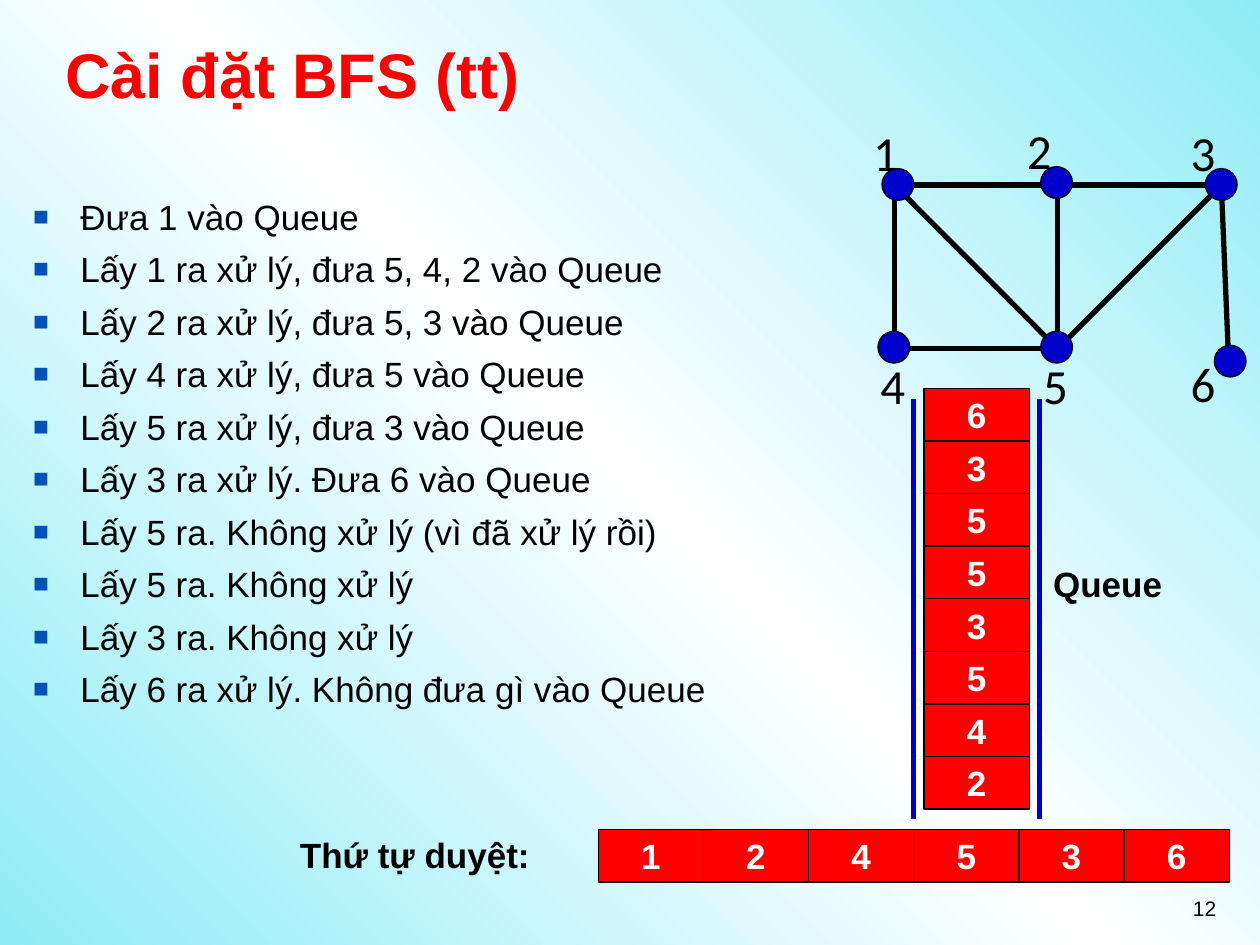
from copy import deepcopy
from dataclasses import dataclass

from pptx import Presentation
from pptx import util as u
from pptx.dml.color import RGBColor
from pptx.enum import shapes, text
from pptx.oxml import ns, xmlchemy


@dataclass(frozen=True)
class Theme:
    font: str = "Arial"
    digit: str = "Calibri"
    black: str = "000000"
    white: str = "FFFFFF"
    red: str = "FF0000"
    blue: str = "0000CC"
    mark: str = "0251B8"
    aqua: str = "8EECF6"
    head: int = 36
    label: int = 28
    body: int = 20
    small: int = 12


LEFT, MID, RIGHT = text.PP_ALIGN.LEFT, text.PP_ALIGN.CENTER, text.PP_ALIGN.RIGHT
T = Theme()


def rgb(tone):
    return RGBColor.from_string(tone)


def node(tag, **attrs):
    item = xmlchemy.OxmlElement(tag)
    for key, val in attrs.items():
        item.set(key, str(val))
    return item


class Page:
    """Holds the theme and the current slide; one method per kind of element."""

    def __init__(self, deck, theme):
        self.t = theme
        self.slide = deck.slides.add_slide(deck.slide_layouts[5])
        self.shapes = self.slide.shapes

    def back(self):
        fill = self.slide.background.fill
        fill.gradient()
        fill.gradient_angle = 45
        stops = self.slide.element.find(".//" + ns.qn("a:gsLst"))
        stops.insert(1, deepcopy(stops[0]))
        tones = (self.t.aqua, self.t.white, self.t.aqua)
        for stop, tone, pos in zip(fill.gradient_stops, tones, (0, 0.5, 1)):
            stop.color.rgb = rgb(tone)
            stop.position = pos

    def style(self, para, size, tone=None, bold=False, font=None, align=LEFT):
        para.alignment = align
        for run in para.runs:
            run.font.name = font or self.t.font
            run.font.size = u.Pt(size)
            run.font.bold = bold
            run.font.color.rgb = rgb(tone or self.t.black)

    def title(self, words, x, y, w, h):
        box = self.shapes.title
        box.left, box.top, box.width, box.height = map(u.Cm, (x, y, w, h))
        box.text_frame.text = words
        box.text_frame.vertical_anchor = text.MSO_ANCHOR.MIDDLE
        self.style(box.text_frame.paragraphs[0], self.t.head, self.t.red, True)

    def label(self, words, x, y, w, h, size, **look):
        box = self.shapes.add_textbox(*map(u.Cm, (x, y, w, h)))
        box.text_frame.word_wrap = True
        box.text_frame.text = words
        self.style(box.text_frame.paragraphs[0], size, **look)

    def bullets(self, lines, x, y, w, h):
        frame = self.shapes.add_textbox(*map(u.Cm, (x, y, w, h))).text_frame
        frame.word_wrap = True
        frame.text = "\n".join(lines)
        for i, para in enumerate(frame.paragraphs):
            if i:
                para.space_before = u.Pt(6)
            props = para._p.get_or_add_pPr()
            props.set("marL", str(u.Cm(0.95)))
            props.set("indent", str(u.Cm(-0.95)))
            tint = node("a:buClr")
            tint.append(node("a:srgbClr", val=self.t.mark))
            props.extend([tint, node("a:buSzPct", val=75000),
                          node("a:buFont", typeface=self.t.font),
                          node("a:buChar", char="■")])
            self.style(para, self.t.body, align=text.PP_ALIGN.JUSTIFY)

    def line(self, start, end, tone, oval=False):
        link = self.shapes.add_connector(
            shapes.MSO_CONNECTOR.STRAIGHT, *map(u.Cm, (*start, *end)))
        link.line.color.rgb = rgb(tone)
        link.line.width = u.Pt(3)
        if oval:
            link.line._get_or_add_ln().extend(
                [node("a:headEnd", type="oval"), node("a:tailEnd", type="oval")])
        link._element.spPr.append(node("a:effectLst"))

    def solid(self, kind, x, y, w, h, tone):
        shape = self.shapes.add_shape(kind, *map(u.Cm, (x, y, w, h)))
        shape.shadow.inherit = False
        shape.fill.solid()
        shape.fill.fore_color.rgb = rgb(tone)
        shape.line.color.rgb = rgb(self.t.black)
        shape.line.width = u.Pt(0.75)
        return shape

    def dot(self, x, y, size=0.64):
        self.solid(shapes.MSO_SHAPE.OVAL, x - size / 2, y - size / 2,
                   size, size, self.t.blue)

    def cell(self, words, x, y, w, h):
        frame = self.solid(shapes.MSO_SHAPE.RECTANGLE, x, y, w, h,
                           self.t.red).text_frame
        frame.word_wrap = False
        frame.vertical_anchor = text.MSO_ANCHOR.MIDDLE
        frame.text = words
        self.style(frame.paragraphs[0], self.t.body, self.t.white, True, align=MID)


STEPS = [
    "Đưa 1 vào Queue",
    "Lấy 1 ra xử lý, đưa 5, 4, 2 vào Queue",
    "Lấy 2 ra xử lý, đưa 5, 3 vào Queue",
    "Lấy 4 ra xử lý, đưa 5 vào Queue",
    "Lấy 5 ra xử lý, đưa 3 vào Queue",
    "Lấy 3 ra xử lý. Đưa 6 vào Queue",
    "Lấy 5 ra. Không xử lý (vì đã xử lý rồi)",
    "Lấy 5 ra. Không xử lý",
    "Lấy 3 ra. Không xử lý",
    "Lấy 6 ra xử lý. Không đưa gì vào Queue",
]
# Vertex: where edges meet, centre of the dot, corner of the label
GRAPH = {
    "1": ((18.03, 3.73), (18.1, 3.72), (17.35, 2.34)),
    "2": ((21.32, 3.73), (21.3, 3.68), (20.45, 2.31)),
    "3": ((24.62, 3.73), (24.62, 3.72), (23.75, 2.34)),
    "4": ((18.03, 7.03), (18.02, 7), (17.5, 7.04)),
    "5": ((21.32, 7.03), (21.3, 7), (20.78, 7.04)),
    "6": ((24.77, 7.34), (24.8, 7.28), (23.75, 7.01)),
}
EDGES = ["25", "14", "15", "21", "54", "32", "35", "36"]
QUEUE, ORDER = "63553542", "124536"
WIDE, HIGH = 2.12, 1.06


def main():
    deck = Presentation()
    deck.slide_width, deck.slide_height = u.Cm(25.4), u.Cm(19.05)
    page = Page(deck, T)
    page.back()

    # Title, steps and page number
    page.title("Cài đặt BFS (tt)", 1.06, 0.42, 23.07, 2.12)
    page.bullets(STEPS, 0.42, 3.81, 14.18, 13.2)
    page.label("12", 18.84, 17.93, 5.93, 1.06, T.small, align=RIGHT)

    # Graph: edges, labels, then dots on top
    for a, b in EDGES:
        page.line(GRAPH[a][0], GRAPH[b][0], T.black, oval=True)
    for name, (_, _, spot) in GRAPH.items():
        page.label(name, *spot, 1.65, 1.65, T.label, font=T.digit)
    for _, centre, _ in GRAPH.values():
        page.dot(*centre)

    # Queue between its two walls
    for i, name in enumerate(QUEUE):
        page.cell(name, 18.63, 7.83 + i * HIGH, WIDE, HIGH)
    for x in (18.42, 20.96):
        page.line((x, 8.05), (x, 16.51), T.blue)
    page.label("Queue", 20.74, 11.22, 3.18, 1.11, T.body, bold=True, align=MID)

    # Order of visits
    page.label("Thứ tự duyệt:", 5.72, 16.67, 5.29, 1.11, T.body,
               bold=True, align=MID)
    for i, name in enumerate(ORDER):
        page.cell(name, 12.06 + i * WIDE, 16.72, WIDE, HIGH)

    deck.save("out.pptx")


if __name__ == "__main__":
    main()
